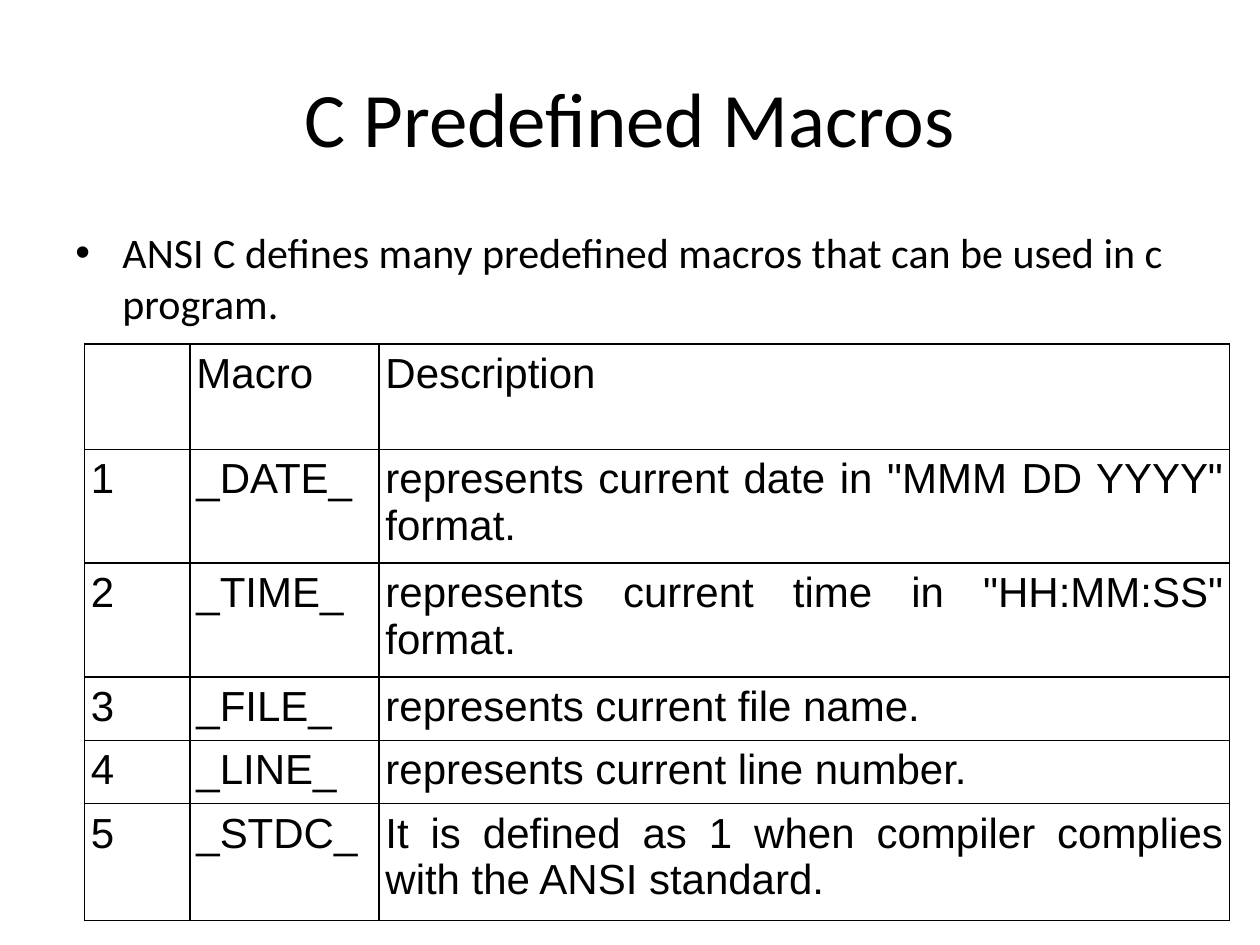
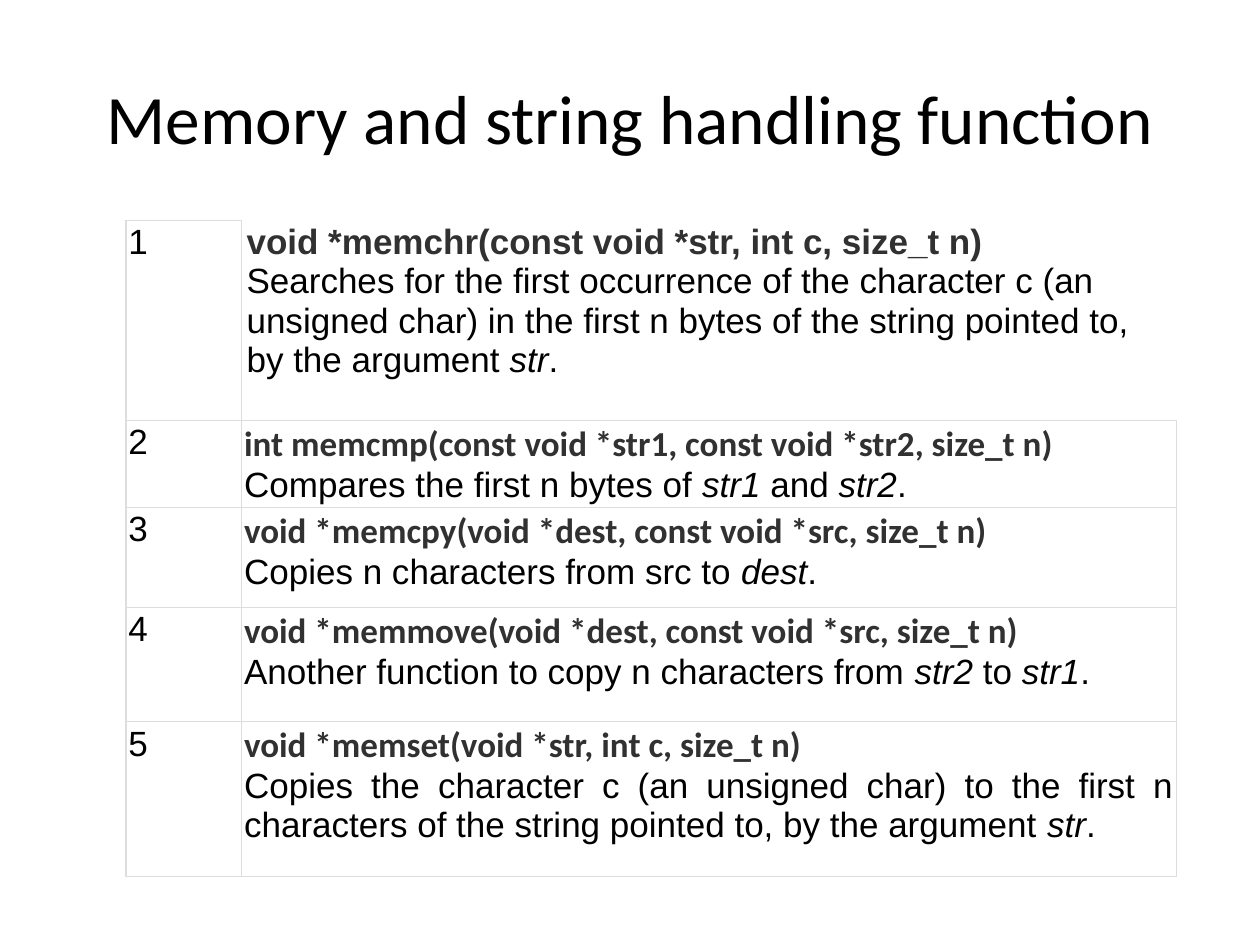
from dataclasses import dataclass

from lxml.etree import SubElement
from pptx import Presentation
from pptx.dml.color import RGBColor
from pptx.enum.text import MSO_ANCHOR as Anchor, PP_ALIGN as Align
from pptx.oxml.ns import qn
from pptx.util import Cm, Pt

BLACK = RGBColor(0x00, 0x00, 0x00)
CODE_GREY = RGBColor(0x31, 0x31, 0x31)
RULE_GREY = RGBColor(0xDD, 0xDD, 0xDD)
HEAD_FONT, TABLE_FONT = "Calibri", "Arial"
ALL_SIDES = "LRTB"


@dataclass(frozen=True)
class Grid:
    """Place, measures (cm) and ruling of a table."""
    left: float
    top: float
    columns: tuple[float, ...]
    rows: tuple[float, ...]
    margin: float
    line_color: RGBColor
    line_width: float


@dataclass(frozen=True)
class LibraryFunction:
    """A signature and its description; every second piece is italic."""
    signature: str
    description: tuple[str, ...]
    align: Align = Align.JUSTIFY
    font: str = HEAD_FONT


MACRO_GRID = Grid(1.7, 6.93, (2.13, 3.81, 17.15),
                  (2.13, 2.13, 2.13, 1.27, 1.27, 2.36), 0.13, BLACK, 1)
MACROS = (
    ("_DATE_", 'represents current date in "MMM DD YYYY" format.'),
    ("_TIME_", 'represents current time in "HH:MM:SS" format.'),
    ("_FILE_", "represents current file name."),
    ("_LINE_", "represents current line number."),
    ("_STDC_", "It is defined as 1 when compiler complies with the ANSI standard."),
)

FUNCTION_GRID = Grid(2.54, 4.45, (2.33, 18.84),
                     (4.03, 1.75, 2.02, 2.3, 3.12), 0.05, RULE_GREY, 0.75)
FUNCTIONS = (
    LibraryFunction(
        "void *memchr(const void *str, int c, size_t n)",
        ("Searches for the first occurrence of the character c (an unsigned char) "
         "in the first n bytes of the string pointed to, by the argument ", "str", "."),
        Align.LEFT, TABLE_FONT),
    LibraryFunction(
        "int memcmp(const void *str1, const void *str2, size_t n)",
        ("Compares the first n bytes of ", "str1", " and ", "str2", ".")),
    LibraryFunction(
        "void *memcpy(void *dest, const void *src, size_t n)",
        ("Copies n characters from src to ", "dest", ".")),
    LibraryFunction(
        "void *memmove(void *dest, const void *src, size_t n)",
        ("Another function to copy n characters from ", "str2", " to ", "str1", ".")),
    LibraryFunction(
        "void *memset(void *str, int c, size_t n)",
        ("Copies the character c (an unsigned char) to the first n characters "
         "of the string pointed to, by the argument ", "str", ".")),
)


def write(paragraph, text: str, *, size: float, font: str = TABLE_FONT,
          color: RGBColor = BLACK, bold: bool = False, italic: bool = False,
          align: Align = Align.LEFT) -> None:
    """Append a formatted run to a paragraph."""
    paragraph.alignment = align
    run = paragraph.add_run()
    run.text = text
    run.font.name, run.font.size = font, Pt(size)
    run.font.bold, run.font.italic = bold, italic
    run.font.color.rgb = color


def add_titled_slide(presentation, title: str, size: float):
    slide = presentation.slides.add_slide(presentation.slide_layouts[5])
    shape = slide.shapes.title
    shape.left, shape.top, shape.width, shape.height = Cm(1.27), Cm(0.76), Cm(22.86), Cm(3.18)
    shape.text_frame.vertical_anchor = Anchor.MIDDLE
    write(shape.text_frame.paragraphs[0], title, size=size, font=HEAD_FONT,
          align=Align.CENTER)
    return slide


def add_bullet_text(slide, text: str) -> None:
    shape = slide.shapes.add_textbox(Cm(1.27), Cm(4.45), Cm(22.86), Cm(12.57))
    shape.text_frame.word_wrap = True
    paragraph = shape.text_frame.paragraphs[0]
    write(paragraph, text, size=24, font=HEAD_FONT)
    properties = paragraph._p.get_or_add_pPr()
    properties.set("marL", str(Cm(0.95)))
    properties.set("indent", str(-Cm(0.95)))
    SubElement(properties, qn("a:buFont"), typeface="Arial")
    SubElement(properties, qn("a:buChar"), char="•")


def format_cell(cell, grid: Grid, sides: str = ALL_SIDES) -> None:
    """Set margins, borders on the named sides, and no fill."""
    cell.margin_left = cell.margin_right = Cm(grid.margin)
    cell.margin_top = cell.margin_bottom = Cm(grid.margin)
    properties = cell._tc.get_or_add_tcPr()
    for side in ALL_SIDES:
        line = SubElement(properties, qn(f"a:ln{side}"), w=str(Pt(grid.line_width)))
        if side in sides:
            fill = SubElement(line, qn("a:solidFill"))
            SubElement(fill, qn("a:srgbClr"), val=str(grid.line_color))
        else:
            SubElement(line, qn("a:noFill"))
    cell.fill.background()


def add_grid(slide, grid: Grid):
    table = slide.shapes.add_table(
        len(grid.rows), len(grid.columns), Cm(grid.left), Cm(grid.top),
        Cm(sum(grid.columns)), Cm(sum(grid.rows))).table
    table.first_row = table.horz_banding = False
    for column, width in zip(table.columns, grid.columns):
        column.width = Cm(width)
    for row, height in zip(table.rows, grid.rows):
        row.height = Cm(height)
    return table


def build_macro_slide(presentation) -> None:
    slide = add_titled_slide(presentation, "C Predefined Macros", 44)
    add_bullet_text(
        slide, "ANSI C defines many predefined macros that can be used in c program.")
    table = add_grid(slide, MACRO_GRID)
    numbered = [(str(number), *macro) for number, macro in enumerate(MACROS, 1)]
    for row, texts in enumerate([("", "Macro", "Description"), *numbered]):
        for column, text in enumerate(texts):
            cell = table.cell(row, column)
            format_cell(cell, MACRO_GRID)
            if text:
                write(cell.text_frame.paragraphs[0], text, size=24,
                      align=Align.JUSTIFY if row else Align.LEFT)


def build_function_slide(presentation) -> None:
    slide = add_titled_slide(presentation, "Memory and string handling function", 39.6)
    table = add_grid(slide, FUNCTION_GRID)
    for row, function in enumerate(FUNCTIONS):
        number_cell, text_cell = table.cell(row, 0), table.cell(row, 1)
        format_cell(number_cell, FUNCTION_GRID)
        write(number_cell.text_frame.paragraphs[0], str(row + 1), size=20)

        # The first description is open at the top and right
        format_cell(text_cell, FUNCTION_GRID, ALL_SIDES if row else "LB")
        if row == 0:
            text_cell.margin_left = text_cell.margin_right = Cm(0.1)
        frame = text_cell.text_frame
        write(frame.paragraphs[0], function.signature, size=20, font=function.font,
              color=CODE_GREY, bold=True, align=function.align)
        paragraph = frame.add_paragraph()
        for index, piece in enumerate(function.description):
            write(paragraph, piece, size=20, italic=index % 2 == 1, align=function.align)


def main() -> None:
    presentation = Presentation()
    presentation.slide_width, presentation.slide_height = Cm(25.4), Cm(19.05)
    build_macro_slide(presentation)
    build_function_slide(presentation)
    presentation.save("out.pptx")


if __name__ == "__main__":
    main()
